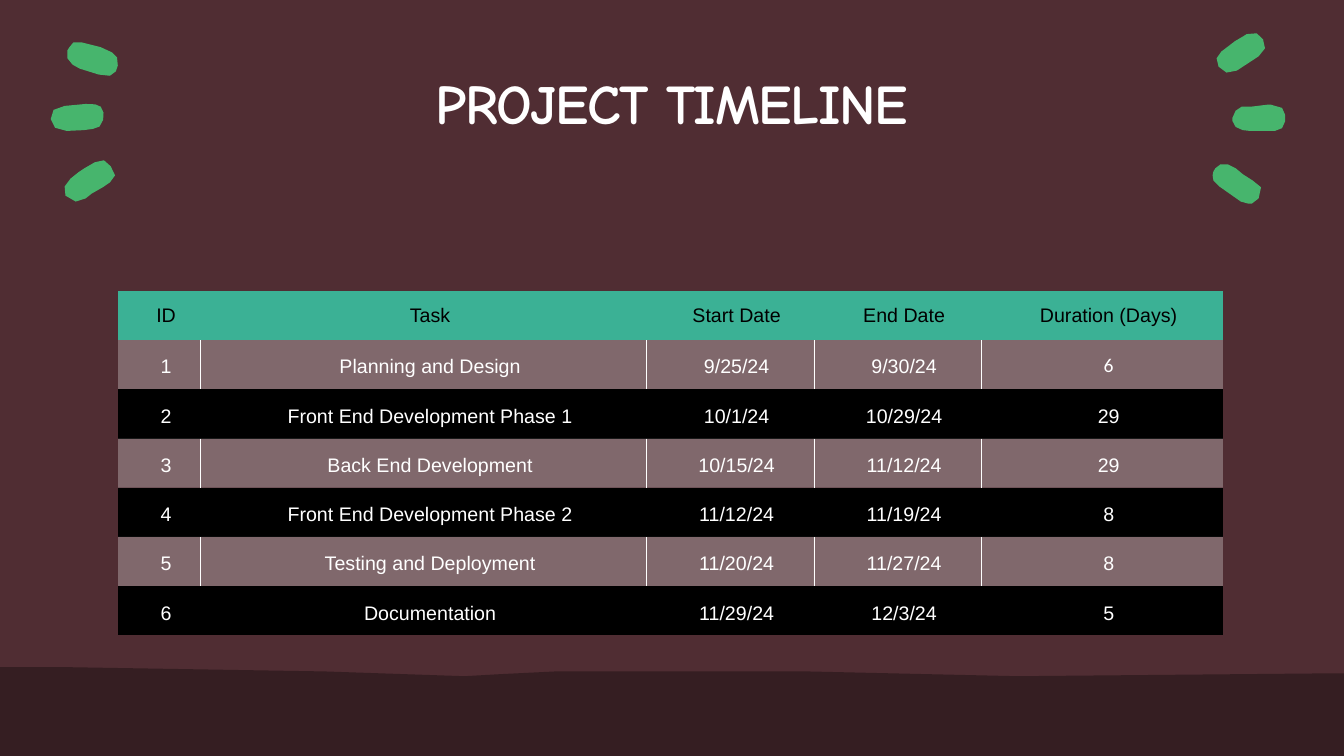
"""Build the project timeline slide: title, brush strokes, ground and task table."""
import lxml.etree
import pptx
import pptx.dml.color
import pptx.enum.shapes
import pptx.enum.text
import pptx.oxml.ns
import pptx.util

Cm, Pt = pptx.util.Cm, pptx.util.Pt
ANCHOR = pptx.enum.text.MSO_ANCHOR
CENTER = pptx.enum.text.PP_ALIGN.CENTER

TITLE = "PROJECT TIMELINE"
HEADER = ("ID", "Task", "Start Date", "End Date", "Duration (Days)")
TASKS = [
    ("1", "Planning and Design", "9/25/24", "9/30/24", "6"),
    ("2", "Front End Development Phase 1", "10/1/24", "10/29/24", "29"),
    ("3", "Back End Development", "10/15/24", "11/12/24", "29"),
    ("4", "Front End Development Phase 2", "11/12/24", "11/19/24", "8"),
    ("5", "Testing and Deployment", "11/20/24", "11/27/24", "8"),
    ("6", "Documentation", "11/29/24", "12/3/24", "5"),
]
COLUMN_WIDTHS = (2.08, 11.23, 4.22, 4.22, 6.09)
ROW_HEIGHT = 1.24
SLIDE_WIDTH, SLIDE_HEIGHT = 33.87, 19.05

WALL, GROUND, STROKE = "502D33", "351E22", "47B56D"
TEAL, PALE, BLACK, WHITE = "3BB195", "F2F2F2", "000000", "FFFFFF"

BRUSH_STROKES = [
    [(2.59, 4.72), (2.31, 4.88), (2.16, 5), (1.91, 5.08), (1.65, 4.93), (1.63, 4.7), (1.78, 4.5),
     (1.98, 4.34), (2.13, 4.24), (2.39, 4.09), (2.62, 4.04), (2.79, 4.19), (2.9, 4.42), (2.77, 4.6)],
    [(2.34, 3.25), (2.11, 3.28), (1.68, 3.3), (1.39, 3.22), (1.28, 3), (1.35, 2.77), (1.63, 2.67),
     (2.16, 2.62), (2.4, 2.63), (2.54, 2.69), (2.61, 2.84), (2.6, 3.02), (2.51, 3.19)],
    [(2.06, 1.07), (1.85, 1.07), (1.75, 1.19), (1.7, 1.27), (1.7, 1.47), (1.83, 1.63), (2.01, 1.73),
     (2.49, 1.88), (2.77, 1.91), (2.92, 1.8), (2.97, 1.65), (2.95, 1.45), (2.82, 1.32), (2.54, 1.19)],
    [(32.13, 3.3), (31.85, 3.3), (31.5, 3.3), (31.32, 3.28), (31.14, 3.2), (31.06, 3.05),
     (31.06, 2.97), (31.14, 2.79), (31.29, 2.69), (31.52, 2.69), (31.93, 2.64), (32.03, 2.64),
     (32.31, 2.72), (32.39, 2.9), (32.39, 3.05), (32.31, 3.23)],
    [(30.78, 1.3), (31.12, 1.04), (31.34, 0.91), (31.42, 0.86), (31.67, 0.84), (31.83, 0.99),
     (31.88, 1.22), (31.72, 1.42), (31.17, 1.78), (30.91, 1.83), (30.71, 1.68), (30.66, 1.47)],
    [(30.58, 4.55), (30.56, 4.42), (30.58, 4.32), (30.63, 4.24), (30.76, 4.14), (30.94, 4.14),
     (31.14, 4.24), (31.32, 4.39), (31.57, 4.55), (31.78, 4.72), (31.72, 5), (31.55, 5.13),
     (31.45, 5.13), (31.27, 5.08), (30.73, 4.7)],
]
GROUND_OUTLINE = [
    (0, 16.81), (1.55, 16.81), (8.18, 16.92), (11.71, 17.04), (12.6, 16.99), (14, 16.92),
    (20.35, 16.92), (25.65, 17.04), (33.3, 16.97), (SLIDE_WIDTH, 16.97),
    (SLIDE_WIDTH, SLIDE_HEIGHT), (0, SLIDE_HEIGHT),
]


def rgb(code):
    return pptx.dml.color.RGBColor.from_string(code)


def paint(shape, code):
    shape.fill.solid()
    shape.fill.fore_color.rgb = rgb(code)
    shape.line.fill.background()
    shape.shadow.inherit = False


def draw_outline(shapes, points, code):
    corners = [(Cm(x), Cm(y)) for x, y in points]
    builder = shapes.build_freeform(*corners[0])
    builder.add_line_segments(corners[1:], close=True)
    paint(builder.convert_to_shape(), code)


def write(frame, text, font, size, code, bold=False):
    frame.text = text
    paragraph = frame.paragraphs[0]
    paragraph.alignment = CENTER
    run = paragraph.runs[0]
    run.font.name, run.font.size, run.font.bold = font, Pt(size), bold
    run.font.color.rgb = rgb(code)
    return run


def add_xml(parent, index, tag, **attributes):
    child = lxml.etree.Element(pptx.oxml.ns.qn(tag), attributes)
    parent.insert(index, child)
    return child


def rule_sides(cell, sides):
    for index, side in enumerate(sides):
        border = add_xml(cell._tc.get_or_add_tcPr(), index, "a:ln" + side, w=str(Pt(0.5)))
        add_xml(add_xml(border, 0, "a:solidFill"), 0, "a:srgbClr", val=WHITE)


def fill_cell(cell, row, column, text):
    striped = row % 2 == 1
    cell.margin_left, cell.margin_right = Cm(0.36), Cm(0.03)
    cell.margin_top = cell.margin_bottom = Cm(0.28)
    cell.vertical_anchor = ANCHOR.BOTTOM if row else ANCHOR.MIDDLE
    font = "Calibri" if (row, column) == (1, len(HEADER) - 1) else "Arial"
    write(cell.text_frame, text, font, 14, WHITE if row else BLACK)
    cell.fill.solid()
    cell.fill.fore_color.rgb = rgb(PALE if striped else BLACK if row else TEAL)
    if striped:
        tint = cell._tc.tcPr.find(".//" + pptx.oxml.ns.qn("a:srgbClr"))
        add_xml(tint, 0, "a:alpha", val="30000")
        rule_sides(cell, "L" * (column > 0) + "R" * (column < len(HEADER) - 1))


def add_timeline(shapes):
    rows = [HEADER] + TASKS
    timeline = shapes.add_table(len(rows), len(HEADER), Cm(2.98), Cm(7.33), Cm(sum(COLUMN_WIDTHS)),
                                Cm(ROW_HEIGHT * len(rows))).table
    timeline.first_row = timeline.horz_banding = False
    style = timeline._tbl.tblPr.find(pptx.oxml.ns.qn("a:tableStyleId"))
    style.text = "{2D5ABB26-0587-4C30-8999-92F81FD0307C}"
    for column, width in enumerate(COLUMN_WIDTHS):
        timeline.columns[column].width = Cm(width)
    for row, texts in enumerate(rows):
        timeline.rows[row].height = Cm(ROW_HEIGHT)
        for column, text in enumerate(texts):
            fill_cell(timeline.cell(row, column), row, column, text)


def main():
    deck = pptx.Presentation()
    deck.slide_width, deck.slide_height = Cm(SLIDE_WIDTH), Cm(SLIDE_HEIGHT)
    slide = deck.slides.add_slide(deck.slide_layouts[6])
    slide.background.fill.solid()
    slide.background.fill.fore_color.rgb = rgb(GROUND)
    shapes = slide.shapes

    wall = shapes.add_shape(pptx.enum.shapes.MSO_SHAPE.RECTANGLE, 0, 0,
                            deck.slide_width, deck.slide_height)
    paint(wall, WALL)

    heading = shapes.add_textbox(Cm(3.74), Cm(1.73), Cm(26.37), Cm(2.18)).text_frame
    heading.word_wrap = True
    heading.margin_left = heading.margin_right = heading.margin_top = heading.margin_bottom = 0
    heading.vertical_anchor = ANCHOR.TOP
    run = write(heading, TITLE, "Comic Neue", 40, WHITE, bold=True)
    run._r.get_or_add_rPr().set("spc", "-100")

    for stroke in BRUSH_STROKES:
        draw_outline(shapes, stroke, STROKE)
    draw_outline(shapes, GROUND_OUTLINE, GROUND)
    add_timeline(shapes)
    deck.save("out.pptx")


if __name__ == "__main__":
    main()
